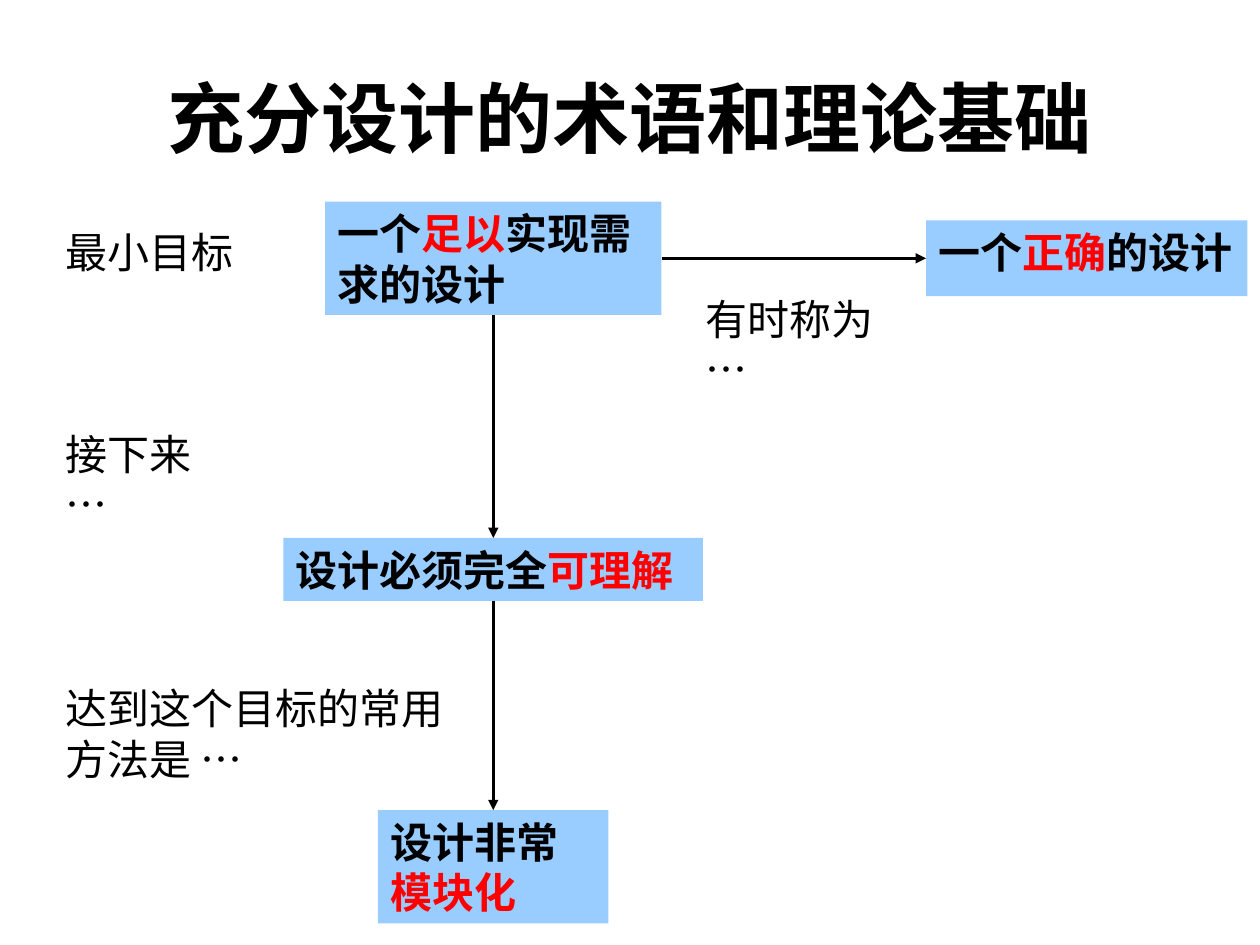
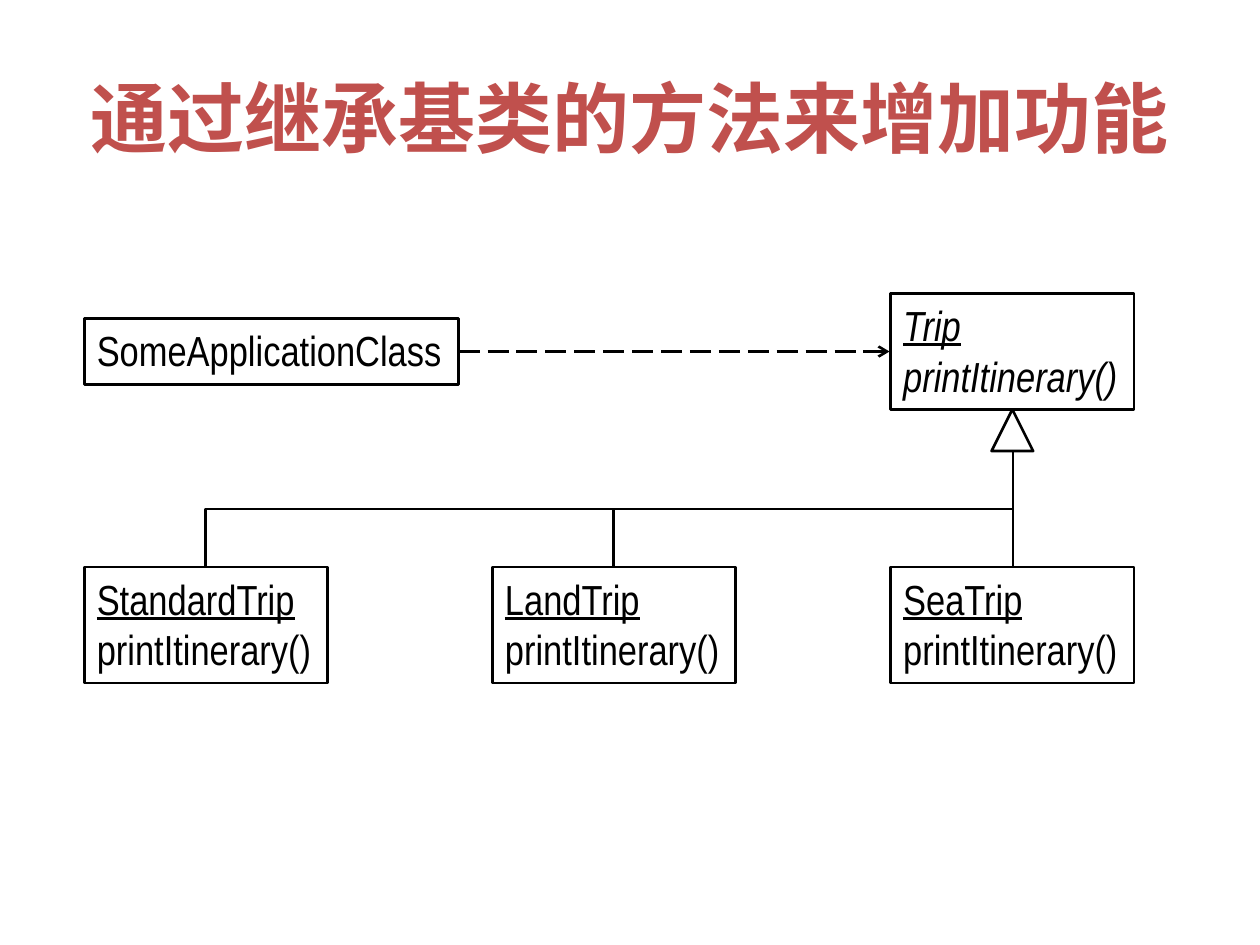
from dataclasses import dataclass

from lxml import etree
from pptx import Presentation
from pptx.dml.color import RGBColor
from pptx.enum.dml import MSO_LINE
from pptx.enum.shapes import MSO_CONNECTOR, MSO_SHAPE
from pptx.enum.text import MSO_ANCHOR, PP_ALIGN
from pptx.oxml.ns import qn
from pptx.util import Inches, Pt

RECT, TRIANGLE = MSO_SHAPE.RECTANGLE, MSO_SHAPE.ISOSCELES_TRIANGLE
STRAIGHT, ELBOW = MSO_CONNECTOR.STRAIGHT, MSO_CONNECTOR.ELBOW
TOP, LEFT, BOTTOM, RIGHT = range(4)  # connection sites of a rectangle


@dataclass(frozen=True)
class Theme:
    ink: RGBColor = RGBColor(0x00, 0x00, 0x00)
    accent: RGBColor = RGBColor(0xFF, 0x00, 0x00)
    title_red: RGBColor = RGBColor(0xC0, 0x50, 0x4D)
    box_fill: RGBColor = RGBColor(0x99, 0xCC, 0xFF)
    title_font: str = "Calibri"
    body_font: str = "Arial Narrow"
    title_size: Pt = Pt(44)
    body_size: Pt = Pt(24)
    line_width: Pt = Pt(1.5)


theme = Theme()


def add_box(slide, at, paragraphs, fill=None, outline=False, wrap=True,
            bold=False, italic=False, underline_first=False):
    """Add a body text rectangle; each paragraph is a list of (text, colour)."""
    box = slide.shapes.add_shape(RECT, *map(Inches, at))
    box.shadow.inherit = False
    if fill:
        box.fill.solid()
        box.fill.fore_color.rgb = fill
    else:
        box.fill.background()
    if outline:
        box.line.color.rgb = theme.ink
        box.line.width = theme.line_width
    else:
        box.line.fill.background()
    frame = box.text_frame
    frame.word_wrap = wrap
    frame.vertical_anchor = MSO_ANCHOR.TOP
    for index, pieces in enumerate(paragraphs):
        paragraph = frame.add_paragraph() if index else frame.paragraphs[0]
        paragraph.alignment = PP_ALIGN.LEFT
        for text, colour in pieces:
            run = paragraph.add_run()
            run.text = text
            run.font.name = theme.body_font
            run.font.size = theme.body_size
            run.font.color.rgb = colour
            run.font.bold = bold
            run.font.italic = italic
            run.font.underline = underline_first and index == 0
    return box


def add_line(slide, kind, start, end, head=None, dash=None):
    """Add a connector between two (x, y) points or two (box, site) pairs."""
    glued = not isinstance(start[0], (int, float))
    points = (0, 0, 0, 0) if glued else (*start, *end)
    line = slide.shapes.add_connector(kind, *map(Inches, points))
    if glued:
        line.begin_connect(*start)
        line.end_connect(*end)
    line.line.color.rgb = theme.ink
    line.line.width = theme.line_width
    if dash:
        line.line.dash_style = dash
    properties = line._element.spPr
    if head:
        etree.SubElement(properties.find(qn("a:ln")), qn("a:tailEnd"), type=head)
    etree.SubElement(properties, qn("a:effectLst"))
    return line


prs = Presentation()
prs.slide_width, prs.slide_height = Inches(10), Inches(7.5)

# Slides with their shared title
slides = []
for title, colour in (("充分设计的术语和理论基础", theme.ink),
                      ("通过继承基类的方法来增加功能", theme.title_red)):
    slide = prs.slides.add_slide(prs.slide_layouts[6])
    slides.append(slide)
    title_box = slide.shapes.add_textbox(*map(Inches, (0.5, 0.3, 9, 1.25)))
    frame = title_box.text_frame
    frame.word_wrap = True
    frame.vertical_anchor = MSO_ANCHOR.MIDDLE
    frame.text = title
    heading = frame.paragraphs[0]
    heading.alignment = PP_ALIGN.CENTER
    font = heading.runs[0].font
    font.name, font.size, font.bold = theme.title_font, theme.title_size, True
    font.color.rgb = colour
terms, inheritance = slides

# Slide 1: design goals, key word in red
goals = []
for at, before, key, after, wrap in (
    ((2.58, 1.6, 2.67, 0.9), "一个", "足以", "实现需求的设计", True),
    ((7.35, 1.75, 2.55, 0.6), "一个", "正确", "的设计", False),
    ((2.25, 4.27, 3.33, 0.5), "设计必须完全", "可理解", "", True),
    ((3, 6.43, 1.83, 0.9), "设计非常", "模块化", "", True),
):
    pieces = [(before, theme.ink), (key, theme.accent)]
    if after:
        pieces.append((after, theme.ink))
    goals.append(add_box(terms, at, [pieces], fill=theme.box_fill,
                         wrap=wrap, bold=True))
sufficient, correct, understandable, modular = goals

# Slide 1: remarks beside the arrows
for at, remark, wrap in (
    ((0.42, 1.75, 1.54, 0.5), "最小目标", False),
    ((5.5, 2.28, 1.89, 0.5), "有时称为 …", True),
    ((0.42, 3.35, 1.56, 0.5), "接下来 …", True),
    ((0.42, 5.37, 3.5, 0.9), "达到这个目标的常用方法是 …", True),
):
    add_box(terms, at, [[(remark, theme.ink)]], wrap=wrap)

# Slide 1: arrows from goal to goal
for start, end in (
    ((sufficient, RIGHT), (correct, LEFT)),
    ((sufficient, BOTTOM), (understandable, TOP)),
    ((understandable, BOTTOM), (modular, TOP)),
):
    add_line(terms, STRAIGHT, start, end, head="triangle")

# Slide 2: class boxes
class_width, class_height = 1.93, 0.92
base_left, subclass_top = 7.07, 4.5
add_box(inheritance, (0.67, 2.53, 2.97, 0.52),
        [[("SomeApplicationClass", theme.ink)]], outline=True, wrap=False)
for name, left, top in (
    ("Trip", base_left, 2.33),
    ("StandardTrip", 0.67, subclass_top),
    ("LandTrip", 3.91, subclass_top),
    ("SeaTrip", base_left, subclass_top),
):
    add_box(inheritance, (left, top, class_width, class_height),
            [[(name, theme.ink)], [("printItinerary()", theme.ink)]],
            outline=True, wrap=False, italic=name == "Trip",
            underline_first=True)

# Slide 2: dependency arrow
add_line(inheritance, STRAIGHT, (3.64, 2.79), (7.06, 2.79),
         head="arrow", dash=MSO_LINE.LONG_DASH)

# Slide 2: inheritance triangle
triangle = inheritance.shapes.add_shape(
    TRIANGLE, *map(Inches, (7.87, 3.25, 0.33, 0.33)))
triangle.shadow.inherit = False
triangle.fill.background()
triangle.line.color.rgb = theme.ink
triangle.line.width = theme.line_width

# Slide 2: branches, elbows turned a quarter so that they leave downwards
trunk_x, branch_top, branch_bottom = 8.04, 3.59, 4.49
drop = branch_bottom - branch_top
middle_y = (branch_top + branch_bottom) / 2
for subclass_x in (1.63, 4.87):
    span = trunk_x - subclass_x
    middle_x = (trunk_x + subclass_x) / 2
    branch = add_line(inheritance, ELBOW,
                      (middle_x - drop / 2, middle_y - span / 2),
                      (middle_x + drop / 2, middle_y + span / 2))
    branch._element.spPr.find(qn("a:xfrm")).set("rot", str(90 * 60000))
add_line(inheritance, STRAIGHT, (trunk_x, branch_top), (trunk_x, branch_bottom))

prs.save("out.pptx")
